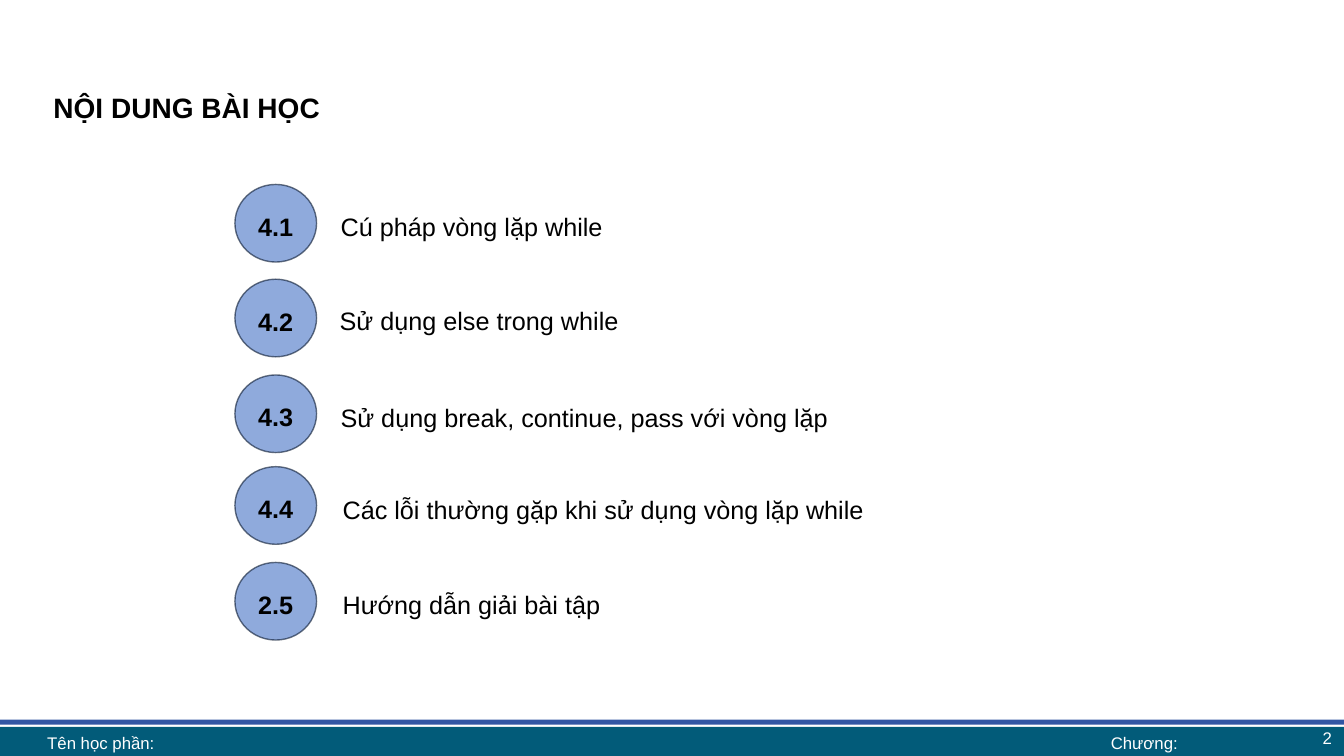
from dataclasses import dataclass

import lxml.etree
import pptx
import pptx.dml.color
import pptx.enum.shapes
import pptx.enum.text
import pptx.oxml.ns
import pptx.util
from pptx.util import Inches

ALIGN = pptx.enum.text.PP_ALIGN
ANCHOR = pptx.enum.text.MSO_ANCHOR
SHAPE = pptx.enum.shapes.MSO_SHAPE
FONT = "Arial"
BLACK, WHITE = "000000", "FFFFFF"


@dataclass
class Box:
    left: float
    top: float
    width: float
    height: float

    def lengths(self) -> tuple:
        return tuple(Inches(v) for v in (self.left, self.top, self.width, self.height))


@dataclass
class Band:
    box: Box
    fill: str


@dataclass
class FooterLabel:
    text: str
    box: Box
    align: ALIGN


@dataclass
class Lesson:
    number: str
    topic: str
    circle_top: float
    topic_box: Box


BANDS = [
    Band(Box(0, 7.21, 13.33, 0.31), "025B79"),
    Band(Box(-0.01, 7.14, 13.36, 0.05), "3256A4"),
]
FOOTER_LABELS = [
    FooterLabel("2", Box(10.31, 7.14, 3, 0.35), ALIGN.RIGHT),
    FooterLabel("Chương:", Box(10.6, 7.21, 1.5, 0.31), ALIGN.CENTER),
    FooterLabel("Tên học phần:", Box(0.37, 7.21, 10.24, 0.31), ALIGN.LEFT),
]
LESSONS = [
    Lesson("4.1", "Cú pháp vòng lặp while", 1.83, Box(3.28, 2, 7.57, 0.42)),
    Lesson("4.2", "Sử dụng else trong while", 2.77, Box(3.27, 2.93, 7.62, 0.42)),
    Lesson("4.3", "Sử dụng break, continue, pass với vòng lặp", 3.72,
           Box(3.28, 3.89, 5.06, 0.42)),
    Lesson("4.4", "Các lỗi thường gặp khi sử dụng vòng lặp while", 4.63,
           Box(3.3, 4.81, 6.2, 0.42)),
    Lesson("2.5", "Hướng dẫn giải bài tập", 5.58, Box(3.3, 5.75, 6.2, 0.42)),
]


def color(value: str) -> pptx.dml.color.RGBColor:
    return pptx.dml.color.RGBColor.from_string(value)


def write(shape, text: str, size: int, align: ALIGN, anchor: ANCHOR, font_color: str = BLACK,
          bold: bool = False, line_spacing=None, space_before: int = 0) -> None:
    frame = shape.text_frame
    frame.text = text
    frame.word_wrap = True
    frame.vertical_anchor = anchor
    paragraph = frame.paragraphs[0]
    paragraph.alignment = align
    paragraph.line_spacing = line_spacing
    paragraph.space_before = pptx.util.Pt(space_before)
    font = paragraph.runs[0].font
    font.name = FONT
    font.size = pptx.util.Pt(size)
    font.bold = bold
    font.color.rgb = color(font_color)


def add_filled_shape(slide, kind: SHAPE, box: Box, fill: str):
    shape = slide.shapes.add_shape(kind, *box.lengths())
    shape.shadow.inherit = False
    shape.fill.solid()
    shape.fill.fore_color.rgb = color(fill)
    shape.line.fill.background()
    return shape


def add_title(slide, text: str, box: Box) -> None:
    title = slide.shapes.title
    title.left, title.top, title.width, title.height = box.lengths()
    write(title, text, 20, ALIGN.JUSTIFY, ANCHOR.TOP, bold=True,
          line_spacing=1.2, space_before=5)
    title.text_frame.auto_size = pptx.enum.text.MSO_AUTO_SIZE.NONE


def add_footer_label(slide, label: FooterLabel) -> None:
    shape = slide.shapes.add_textbox(*label.box.lengths())
    write(shape, label.text, 12, label.align, ANCHOR.MIDDLE, WHITE)
    shape.text_frame.margin_top = shape.text_frame.margin_bottom = 0


def add_lesson(slide, lesson: Lesson) -> None:
    # Numbered circle with a translucent outline
    circle = add_filled_shape(slide, SHAPE.OVAL, Box(2.33, lesson.circle_top, 0.81, 0.77),
                              "8FAADC")
    circle.line.color.rgb = color("08172E")
    circle.line.width = pptx.util.Pt(1)
    outline_color = circle.line._ln.find(".//" + pptx.oxml.ns.qn("a:srgbClr"))
    lxml.etree.SubElement(outline_color, pptx.oxml.ns.qn("a:alpha"), val="60000")
    write(circle, lesson.number, 18, ALIGN.CENTER, ANCHOR.MIDDLE, bold=True,
          line_spacing=1.2, space_before=5)

    # Topic beside the circle
    topic = slide.shapes.add_textbox(*lesson.topic_box.lengths())
    write(topic, lesson.topic, 18, ALIGN.JUSTIFY, ANCHOR.TOP,
          line_spacing=pptx.util.Pt(25), space_before=5)
    topic.text_frame.auto_size = pptx.enum.text.MSO_AUTO_SIZE.SHAPE_TO_FIT_TEXT


def main() -> None:
    presentation = pptx.Presentation()
    presentation.slide_width = Inches(13.33)
    presentation.slide_height = Inches(7.5)
    title_only_layout = presentation.slide_layouts[5]
    slide = presentation.slides.add_slide(title_only_layout)

    # Footer bands and labels
    for band in BANDS:
        add_filled_shape(slide, SHAPE.RECTANGLE, band.box, band.fill)
    for label in FOOTER_LABELS:
        add_footer_label(slide, label)

    # Title and lesson list
    add_title(slide, "NỘI DUNG BÀI HỌC", Box(0.43, 0.78, 12.47, 0.87))
    for lesson in LESSONS:
        add_lesson(slide, lesson)

    presentation.save("out.pptx")


if __name__ == "__main__":
    main()
